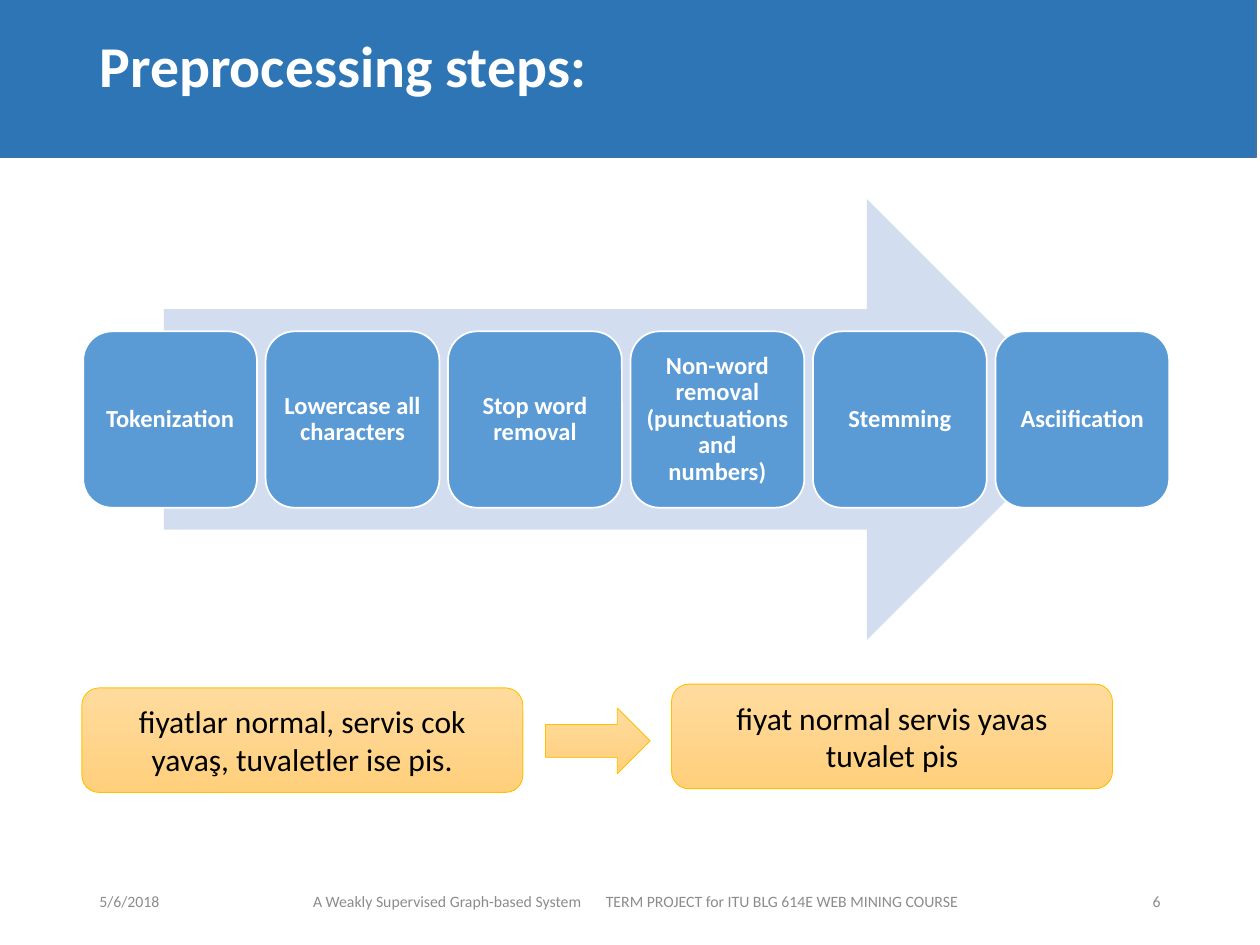
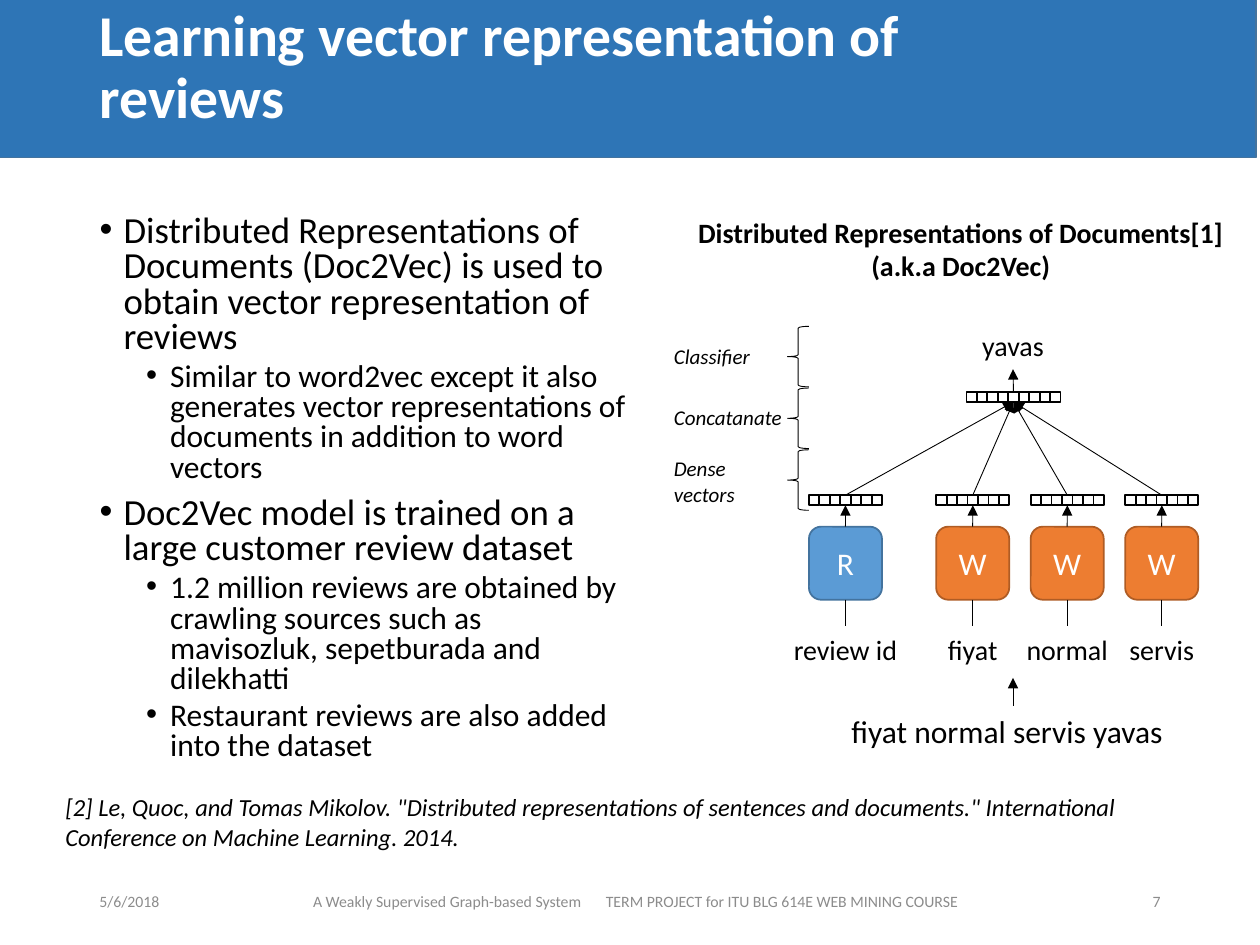
from lxml import etree
from pptx import Presentation
from pptx.dml.color import RGBColor
from pptx.enum.shapes import MSO_CONNECTOR as Connector, MSO_SHAPE as Shape
from pptx.enum.text import MSO_ANCHOR as Anchor, MSO_AUTO_SIZE as AutoSize, PP_ALIGN as Align
from pptx.oxml.ns import qn
from pptx.util import Inches, Pt

FONT = "Calibri"
COLORS = {
    "band": "2E75B6", "band_line": "43739E", "white": "FFFFFF", "black": "000000",
    "footer": "8C8C8C", "big_arrow": "D2DEEF", "blue": "5B9BD5",
    "orange": "ED7D31", "orange_line": "AF5C24",
    "gold_top": "FFDB9E", "gold_bottom": "FFD07C", "gold_line": "FFC000",
}
TOP, BOTTOM = 0, 2  # connection sites


def color(name):
    return RGBColor.from_string(COLORS[name])


def box_of(*lengths):
    return [Inches(length) for length in lengths]


# Text and shape helpers
def write_text(shape, text, size=16, ink="black", bold=False, italic=False, align=Align.LEFT,
               anchor=Anchor.TOP, wrap=True, spacing=None, inset=None):
    """Fill a shape with text, one paragraph per line."""
    frame = shape.text_frame
    frame.text = text
    frame.auto_size = AutoSize.NONE
    frame.word_wrap = wrap
    frame.vertical_anchor = anchor
    if inset is not None:
        frame.margin_left = frame.margin_right = Inches(inset)
        frame.margin_top = frame.margin_bottom = Inches(inset)
    for paragraph in frame.paragraphs:
        paragraph.alignment = align
        if spacing:
            paragraph.line_spacing = spacing
        for run in paragraph.runs:
            font = run.font
            font.name, font.size = FONT, Pt(size)
            font.bold, font.italic = bold, italic
            font.color.rgb = color(ink)
    return shape


def add_text(slide, box, text, **style):
    return write_text(slide.shapes.add_textbox(*box_of(*box)), text, **style)


def add_box(slide, kind, box, fill=None, line=None, width=1):
    shape = slide.shapes.add_shape(kind, *box_of(*box))
    shape.shadow.inherit = False
    if fill:
        shape.fill.solid()
        shape.fill.fore_color.rgb = color(fill)
    else:
        shape.fill.background()
    if line:
        shape.line.color.rgb = color(line)
        shape.line.width = Pt(width)
    else:
        shape.line.fill.background()
    return shape


def add_gold_box(slide, kind, box):
    shape = add_box(slide, kind, box, line="gold_line", width=0.5)
    shape.fill.gradient()
    shape.fill.gradient_angle = 270
    for stop, name in zip(shape.fill.gradient_stops, ("gold_top", "gold_bottom")):
        stop.color.rgb = color(name)
    return shape


def join(slide, start, end=None, end_point=(0, 0), sites=(TOP, BOTTOM), arrow=True):
    """Draw a thin line from one shape to another, or to a free point."""
    connector = slide.shapes.add_connector(Connector.STRAIGHT, 0, 0, *box_of(*end_point))
    connector.begin_connect(start, sites[0])
    if end is not None:
        connector.end_connect(end, sites[1])
    connector.line.color.rgb = color("black")
    connector.line.width = Pt(0.5)
    if arrow:
        etree.SubElement(connector.line._get_or_add_ln(), qn("a:tailEnd"), type="triangle")
    etree.SubElement(connector._element.spPr, qn("a:effectLst"))


# Parts shared by the slides
def add_master_band(presentation, slide):
    """Draw the title band and move it to the back of the slide master."""
    band = add_box(slide, Shape.RECTANGLE, (-0.03, -0.08, 10, 1.33), "band", "band_line")
    presentation.slide_master.shapes._spTree.insert(2, band._element)


def add_base_slide(presentation, layout_index, title, number):
    slide = presentation.slides.add_slide(presentation.slide_layouts[layout_index])
    heading = slide.shapes.title
    heading.left, heading.top, heading.width, heading.height = box_of(0.69, -0.08, 7.9, 1.25)
    write_text(heading, title, size=33, ink="white", bold=True, anchor=Anchor.MIDDLE, spacing=0.9)
    footer_parts = [
        (0.69, 0.81, "5/6/2018", Align.LEFT),
        (1.58, 3.13, "A Weakly Supervised Graph-based System", Align.RIGHT),
        (4.71, 3.79, "TERM PROJECT for ITU BLG 614E WEB MINING COURSE", Align.LEFT),
        (8.58, 0.73, str(number), Align.RIGHT),
    ]
    for left, width, text, align in footer_parts:
        add_text(slide, (left, 6.95, width, 0.4), text, size=9, ink="footer",
                 align=align, anchor=Anchor.MIDDLE)
    return slide


# Slide 1 regions
def add_process(slide, left, top, steps):
    """Big arrow with a row of equal step boxes across it."""
    add_box(slide, Shape.RIGHT_ARROW, (left + 0.64, top, 7.33, 3.5), "big_arrow")
    for index, step in enumerate(steps):
        box = (left + index * 1.448, top + 1.05, 1.38, 1.4)
        shape = add_box(slide, Shape.ROUNDED_RECTANGLE, box, "blue", "white")
        write_text(shape, step, size=14, ink="white", bold=True, align=Align.CENTER,
                   anchor=Anchor.MIDDLE, spacing=0.9, inset=0.06)


def add_example(slide, left, top, before, after):
    """Review before and after preprocessing."""
    for x, y, text in ((0, 0.03, before), (4.68, 0, after)):
        shape = add_gold_box(slide, Shape.ROUNDED_RECTANGLE, (left + x, top + y, 3.5, 0.83))
        write_text(shape, text, size=18, align=Align.CENTER, anchor=Anchor.MIDDLE)
    add_gold_box(slide, Shape.RIGHT_ARROW, (left + 3.68, top + 0.19, 0.83, 0.52))


# Slide 2 regions
def fill_body(body, box, items):
    """Two-level bullet list in the body placeholder."""
    body.left, body.top, body.width, body.height = box_of(*box)
    write_text(body, "\n".join(text for _, text in items), size=21, spacing=0.8)
    for paragraph, (level, _) in zip(body.text_frame.paragraphs, items):
        paragraph.level = level
        paragraph.space_before = Pt((7.5, 3.8)[level])
        paragraph.runs[0].font.size = Pt((21, 18)[level])
        properties = paragraph._p.get_or_add_pPr()
        properties.set("marL", str(Inches((0.19, 0.56)[level])))
        properties.set("indent", str(Inches(-0.19)))
        etree.SubElement(properties, qn("a:buFont"), typeface="Arial")
        etree.SubElement(properties, qn("a:buChar"), char="•")


def add_vector(slide, left, top, count):
    """Row of small cells; returns the middle one."""
    pitch = 0.083
    cells = [add_box(slide, Shape.RECTANGLE, (left + index * pitch, top, pitch, 0.08),
                     "white", "black") for index in range(count)]
    return cells[count // 2]


def add_network(slide, left, top):
    """Doc2Vec network: inputs at the bottom, predicted word at the top."""
    center = left + 2.79

    # Output vector and predicted word
    output = add_vector(slide, center - 0.37, top + 0.55, 9)
    predicted = add_text(slide, (center - 0.35, top, 0.7, 0.37), "yavas",
                         align=Align.CENTER, wrap=False)
    join(slide, output, predicted)

    # Input columns
    columns = [(1.17, "R", "review id", "blue", "band_line")]
    columns += [(2.18 + index * 0.75, "W", word, "orange", "orange_line")
                for index, word in enumerate(("fiyat", "normal", "servis"))]
    for x, letter, word, fill, line in columns:
        token = add_box(slide, Shape.ROUNDED_RECTANGLE,
                        (left + x, top + 1.62, 0.58, 0.58), fill, line)
        write_text(token, letter, size=18, ink="white", align=Align.CENTER, anchor=Anchor.MIDDLE)
        label = add_text(slide, (left + x - 0.23, top + 2.41, 1.04, 0.37), word,
                         align=Align.CENTER, wrap=False)
        vector = add_vector(slide, left + x, top + 1.37, 7)
        join(slide, token, label, sites=(BOTTOM, TOP), arrow=False)
        join(slide, token, vector)
        join(slide, vector, output)

    # Input phrase
    phrase = add_text(slide, (center - 1.38, top + 3.04, 2.76, 0.4),
                      "fiyat normal servis yavas", size=18, wrap=False)
    join(slide, phrase, end_point=(center, top + 2.82))

    # Layer names with braces
    layers = [("Classifier", 0.12, 0.3), ("Concatanate", 0.6, 0.3), ("Dense\nvectors", 1.01, 0.5)]
    for index, (name, y, height) in enumerate(layers):
        add_box(slide, Shape.LEFT_BRACE, (left + 1, top + 0.03 + index * 0.49, 0.17, 0.48),
                line="black", width=0.5)
        add_text(slide, (left, top + y, 1.06, height), name, size=12, italic=True, wrap=False)


# Slides
def build_preprocessing(presentation):
    slide = add_base_slide(presentation, 5, "Preprocessing steps:", 6)
    add_master_band(presentation, slide)
    add_process(slide, 0.66, 1.58, [
        "Tokenization", "Lowercase all characters", "Stop word removal",
        "Non-word removal (punctuations and numbers)", "Stemming", "Asciification"])
    add_example(slide, 0.65, 5.43, "fiyatlar normal, servis cok yavaş, tuvaletler ise pis.",
                "fiyat normal servis yavas tuvalet pis")


def build_vectors(presentation):
    slide = add_base_slide(presentation, 1, "Learning vector representation of reviews", 7)
    fill_body(slide.placeholders[1], (0.69, 1.66, 4.43, 4.34), [
        (0, "Distributed Representations of Documents (Doc2Vec) is used to obtain vector "
            "representation of reviews"),
        (1, "Similar to word2vec except it also generates vector representations of documents "
            "in addition to word vectors"),
        (0, "Doc2Vec model is trained on a large customer review dataset"),
        (1, "1.2 million reviews are obtained by crawling sources such as mavisozluk, "
            "sepetburada and dilekhatti"),
        (1, "Restaurant reviews are also added into the dataset"),
    ])
    add_network(slide, 5.25, 2.56)
    add_text(slide, (5.25, 1.66, 4.75, 0.64),
             "Distributed Representations of Documents[1]\n(a.k.a Doc2Vec)",
             bold=True, align=Align.CENTER)
    add_text(slide, (0.42, 6.24, 9.33, 0.57),
             '[2] Le, Quoc, and Tomas Mikolov. "Distributed representations of sentences and '
             'documents." International Conference on Machine Learning. 2014.',
             size=14, italic=True)


def main():
    presentation = Presentation()
    presentation.slide_width, presentation.slide_height = box_of(10, 7.5)
    build_preprocessing(presentation)
    build_vectors(presentation)
    presentation.save("out.pptx")


if __name__ == "__main__":
    main()
